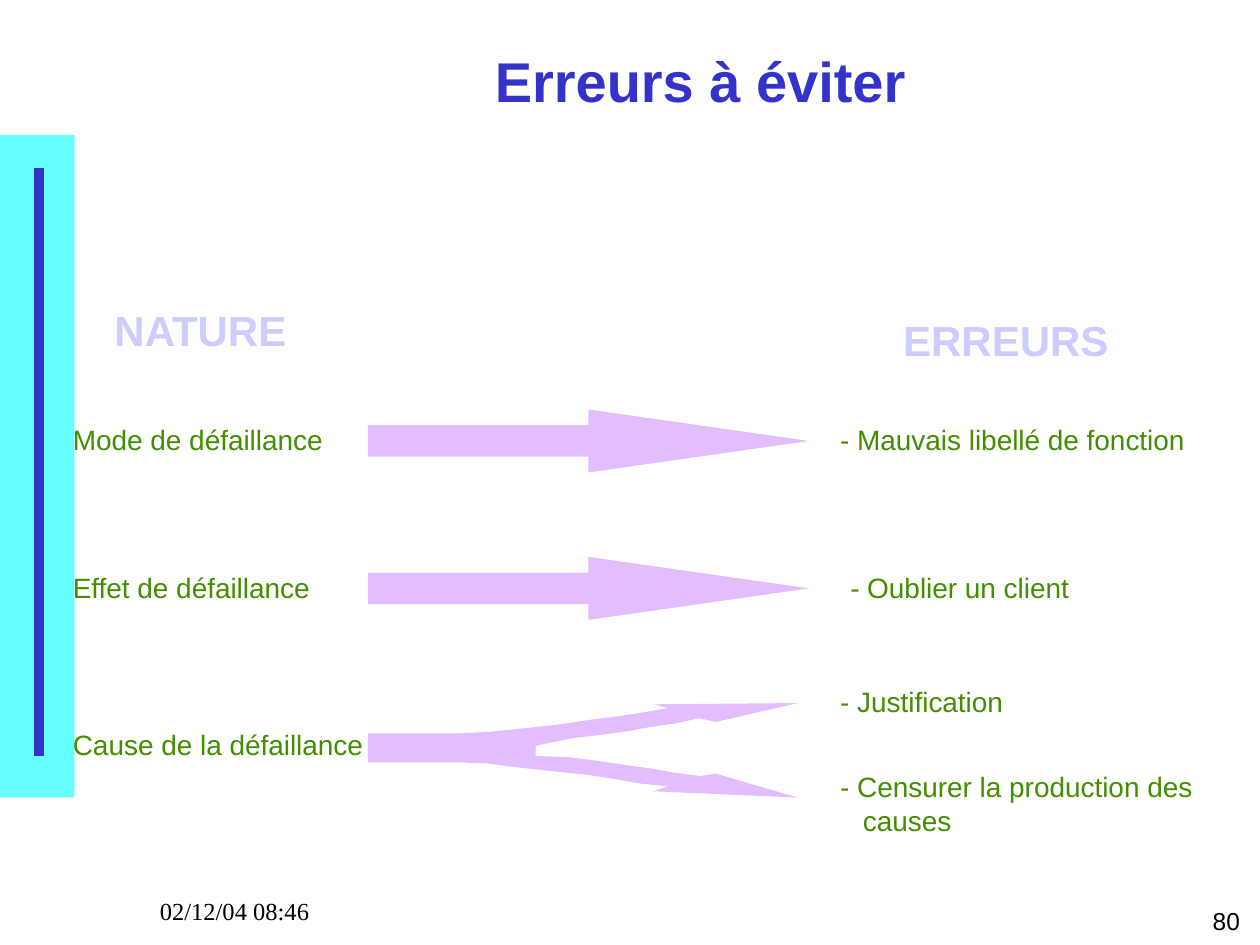
from lxml import etree
from pptx import Presentation
from pptx.dml.color import RGBColor
from pptx.enum import shapes, text
from pptx.oxml import ns
from pptx.util import Inches, Pt

COLORS = {
    "band": "66FFFF",
    "title": "3333CC",
    "heading": "CCCCFF",
    "label": "438E00",
    "arrow": "E3BEFF",
    "footer": "000000",
}

HEADINGS = [("NATURE", 0.81, 2.4, 1.59), ("ERREURS", 7.07, 2.48, 1.83)]
LABELS = [
    ("Mode de défaillance", 0.48, 3.33, 2.19),
    ("- Mauvais libellé de fonction", 6.57, 3.33, 2.94),
    ("Effet de défaillance", 0.48, 4.5, 2.09),
    ("- Oublier un client", 6.65, 4.5, 1.94),
    ("Cause de la défaillance", 0.48, 5.75, 2.51),
    ("- Justification", 6.57, 5.41, 1.5),
]
FORK = [
    (5.19, 5.59), (6.33, 5.58), (5.68, 5.73), (5.55, 5.7), (5.37, 5.74),
    (5.16, 5.77), (5, 5.8), (4.79, 5.83), (4.53, 5.86), (4.25, 5.92),
    (4.25, 6), (4.52, 6.01), (4.75, 6.04), (4.95, 6.07), (5.17, 6.1),
    (5.34, 6.13), (5.55, 6.16), (5.68, 6.14), (6.33, 6.33), (5.19, 6.28),
    (5.3, 6.24), (5.09, 6.22), (4.86, 6.18), (4.66, 6.15), (4.47, 6.13),
    (4.29, 6.11), (4.1, 6.09), (3.87, 6.06), (3.63, 6.05), (2.92, 6.05),
    (2.92, 5.82), (3.63, 5.82), (3.87, 5.81), (4.16, 5.78), (4.35, 5.76),
    (4.51, 5.74), (4.7, 5.71), (4.87, 5.69), (5.07, 5.66), (5.3, 5.62),
]


def color(name):
    return RGBColor.from_string(COLORS[name])


def paint(shape, name):
    shape.shadow.inherit = False
    shape.fill.solid()
    shape.fill.fore_color.rgb = color(name)
    shape.line.fill.background()


def add_shape(page, kind, left, top, width, height):
    return page.shapes.add_shape(
        kind, Inches(left), Inches(top), Inches(width), Inches(height))


def write(box, words, size, name, bold=False, font="Arial",
          align=text.PP_ALIGN.LEFT, wrap=True, spacing=0.93):
    frame = box.text_frame
    frame.text = words
    frame.word_wrap = wrap
    frame.vertical_anchor = text.MSO_ANCHOR.TOP
    for para in frame.paragraphs:
        para.alignment = align
        para.line_spacing = spacing
        for span in para.runs:
            span.font.name = font
            span.font.size = Pt(size)
            span.font.bold = bold
            span.font.color.rgb = color(name)


def add_text(page, words, left, top, width, height, size, name, **style):
    box = page.shapes.add_textbox(
        Inches(left), Inches(top), Inches(width), Inches(height))
    write(box, words, size, name, **style)
    return box


def add_label(page, words, left, top, width, height, size, name, bold=False):
    """Add an unfilled round rectangle that holds unwrapped text."""
    box = add_shape(page, shapes.MSO_SHAPE.ROUNDED_RECTANGLE,
                    left, top, width, height)
    box.adjustments[0] = 0
    box.shadow.inherit = False
    box.fill.background()
    box.line.fill.background()
    write(box, words, size, name, bold=bold, wrap=False)
    box.text_frame.auto_size = text.MSO_AUTO_SIZE.SHAPE_TO_FIT_TEXT
    return box


def add_sidebar(page):
    band = add_shape(page, shapes.MSO_SHAPE.RECTANGLE, 0, 1.07, 0.59, 5.26)
    paint(band, "band")
    rule = page.shapes.add_connector(
        shapes.MSO_CONNECTOR.STRAIGHT,
        Inches(0.31), Inches(1.33), Inches(0.31), Inches(6))
    rule.line.color.rgb = color("title")
    rule.line.width = Pt(6)
    etree.SubElement(rule.element.spPr, ns.qn("a:effectLst"))


def add_arrow(page, top):
    arrow = add_shape(page, shapes.MSO_SHAPE.RIGHT_ARROW, 2.92, top, 3.5, 0.5)
    paint(arrow, "arrow")
    arrow.adjustments[0] = 0.5
    arrow.adjustments[1] = 3.5


def add_fork(page):
    """Draw the arrow that splits towards the two errors about causes."""
    points = [(Inches(x), Inches(y)) for x, y in FORK]
    builder = page.shapes.build_freeform(*points[0])
    builder.add_line_segments(points[1:], close=True)
    paint(builder.convert_to_shape(), "arrow")


def add_footer(page):
    add_text(page, "80", 7.86, 7.16, 2.08, 0.32, 14, "footer",
             align=text.PP_ALIGN.RIGHT)
    add_text(page, "02/12/04 08:46", 1.17, 7.08, 2.08, 0.32, 14, "footer",
             font="Times New Roman", spacing=0.95)


def main():
    deck = Presentation()
    deck.slide_width, deck.slide_height = Inches(10), Inches(7.5)
    page = deck.slides.add_slide(deck.slide_layouts[6])

    add_sidebar(page)
    add_footer(page)
    title = add_text(page, "Erreurs à éviter", 1.31, 0.33, 8.5, 0.67, 32,
                     "title", bold=True, align=text.PP_ALIGN.CENTER)
    title.text_frame.vertical_anchor = text.MSO_ANCHOR.MIDDLE

    for words, left, top, width in HEADINGS:
        add_label(page, words, left, top, width, 0.47, 24, "heading", bold=True)
    for words, left, top, width in LABELS:
        add_label(page, words, left, top, width, 0.35, 16, "label")
    censure = add_label(page, "- Censurer la production des\ncauses",
                        6.57, 6.08, 3.06, 0.62, 16, "label")
    last = censure.text_frame.paragraphs[1]
    last.line_spacing = 1.0
    last._p.get_or_add_pPr().set("marL", str(Inches(0.18)))

    for top in (3.25, 4.42):
        add_arrow(page, top)
    add_fork(page)
    deck.save("out.pptx")


if __name__ == "__main__":
    main()
